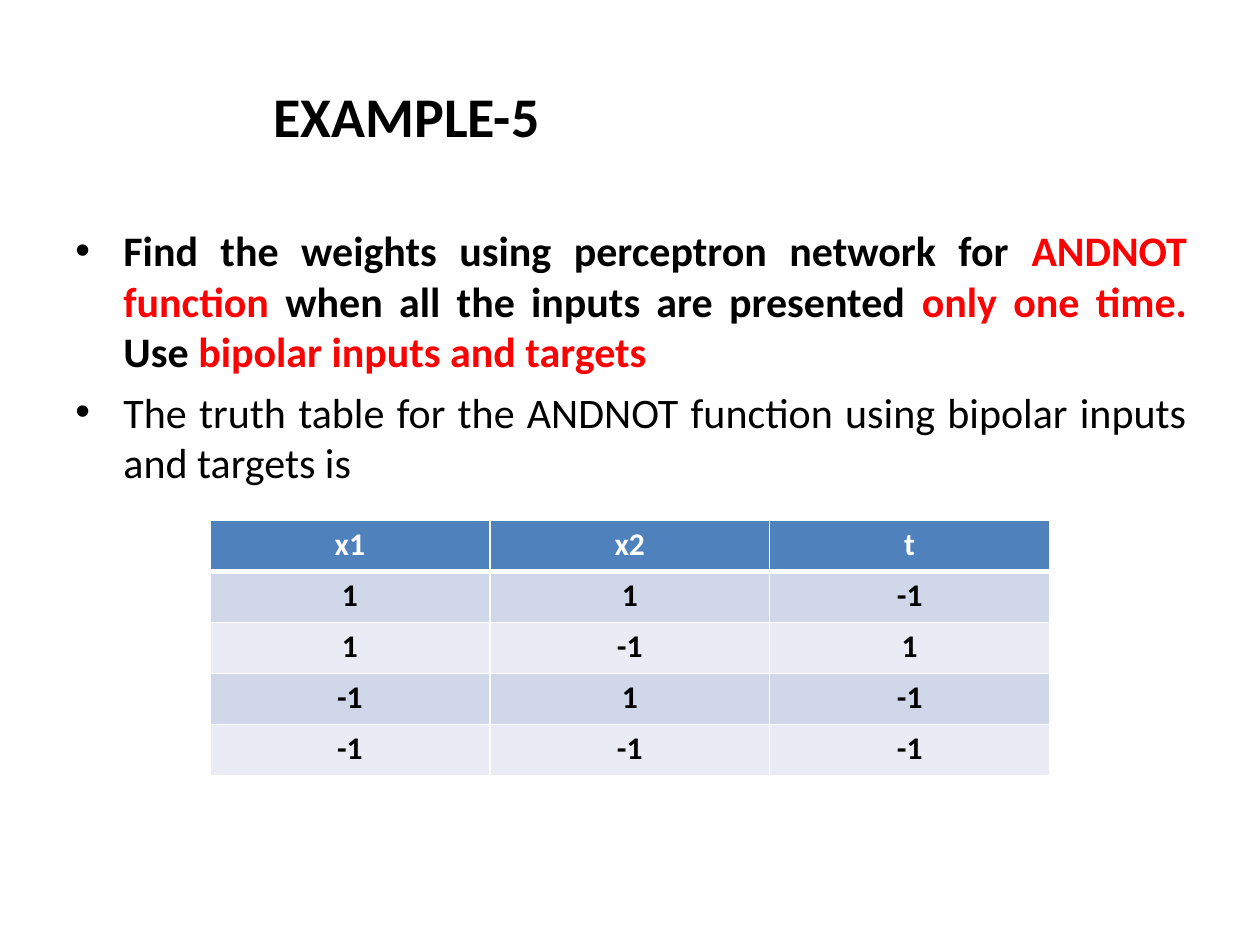
from dataclasses import dataclass

from pptx import Presentation
from pptx.dml.color import RGBColor
from pptx.enum import text
from pptx.oxml import parse_xml
from pptx.oxml.ns import nsdecls
from pptx.util import Cm, Pt

COLOURS = {
    "black": "000000", "red": "FF0000", "white": "FFFFFF",
    "header": "4F81BC", "odd": "D0D7E8", "even": "E9ECF4",
}


@dataclass
class Span:
    wording: str
    colour: str = "black"
    bold: bool = True


@dataclass
class Bullet:
    spans: list[Span]
    space_before: float = 0


BULLETS = [
    Bullet([
        Span("Find the weights using perceptron network for "),
        Span("ANDNOT function ", "red"),
        Span("when all the inputs are presented "),
        Span("only one time. ", "red"),
        Span("Use "),
        Span("bipolar inputs and targets", "red"),
    ]),
    Bullet([Span("The truth table for the ANDNOT function using bipolar inputs "
                 "and targets is", bold=False)], space_before=5.8),
]
TRUTH_TABLE = [
    ("x1", "x2", "t"),
    ("1", "1", "-1"),
    ("1", "-1", "1"),
    ("-1", "1", "-1"),
    ("-1", "-1", "-1"),
]


def rgb(name: str) -> RGBColor:
    return RGBColor.from_string(COLOURS[name])


def set_all(target, **values) -> None:
    for name, value in values.items():
        setattr(target, name, value)


def add_span(para, span: Span, size: float) -> None:
    run = para.add_run()
    run.text = span.wording
    set_all(run.font, name="Calibri", size=Pt(size), bold=span.bold)
    run.font.color.rgb = rgb(span.colour)


def format_frame(frame, margin_top: float) -> None:
    set_all(frame, margin_left=0, margin_top=Cm(margin_top), margin_right=0,
            margin_bottom=0, word_wrap=True, auto_size=text.MSO_AUTO_SIZE.NONE,
            vertical_anchor=text.MSO_ANCHOR.TOP)


def add_bullet(para, bullet: Bullet) -> None:
    properties = para._p.get_or_add_pPr()
    properties.set("marL", str(Cm(0.99)))
    properties.set("indent", str(Cm(-0.97)))
    for tag in ('buFont {} typeface="Arial"', 'buChar {} char="•"'):
        properties.append(parse_xml(f"<a:{tag.format(nsdecls('a'))}/>"))
    set_all(para, alignment=text.PP_ALIGN.JUSTIFY,
            space_before=Pt(bullet.space_before))
    for span in bullet.spans:
        add_span(para, span, 24)


def add_borders(cell, widths: dict[str, float]) -> None:
    properties = cell._tc.get_or_add_tcPr()
    for position, (side, width) in enumerate(widths.items()):
        properties.insert(position, parse_xml(
            f'<a:{side} {nsdecls("a")} w="{Pt(width)}"><a:solidFill>'
            f'<a:srgbClr val="{COLOURS["white"]}"/></a:solidFill></a:{side}>'))


def fill_cell(cell, wording: str, row: int) -> None:
    fill = "header" if row == 0 else ("odd" if row % 2 else "even")
    cell.fill.solid()
    cell.fill.fore_color.rgb = rgb(fill)
    set_all(cell, margin_left=0, margin_top=Cm(0.1), margin_right=0,
            margin_bottom=0, vertical_anchor=text.MSO_ANCHOR.TOP)
    para = cell.text_frame.paragraphs[0]
    para.alignment = text.PP_ALIGN.CENTER
    add_span(para, Span(wording, "black" if row else "white"), 18)
    add_borders(cell, {"lnL": 1, "lnR": 1, "lnT": 3 if row == 1 else 1,
                       "lnB": 1 if row else 3})


def main() -> None:
    deck = Presentation()
    set_all(deck, slide_width=Cm(25.4), slide_height=Cm(19.05))
    page = deck.slides.add_slide(deck.slide_layouts[5])

    # Title
    title = page.shapes.title
    set_all(title, left=Cm(5.51), top=Cm(1.57), width=Cm(9.93), height=Cm(1.42))
    format_frame(title.text_frame, 0.07)
    heading = title.text_frame.paragraphs[0]
    heading.alignment = text.PP_ALIGN.LEFT
    add_span(heading, Span("EXAMPLE-5"), 32)

    # Task
    body = page.shapes.add_textbox(Cm(1.5), Cm(4.47), Cm(22.43), Cm(5.36))
    format_frame(body.text_frame, 0.06)
    for index, bullet in enumerate(BULLETS):
        frame = body.text_frame
        add_bullet(frame.add_paragraph() if index else frame.paragraphs[0], bullet)

    # Truth table
    table = page.shapes.add_table(
        len(TRUTH_TABLE), len(TRUTH_TABLE[0]),
        Cm(4.23), Cm(10.49), Cm(16.93), Cm(5.15)).table
    for row, values in enumerate(TRUTH_TABLE):
        for column, wording in enumerate(values):
            fill_cell(table.cell(row, column), wording, row)

    deck.save("out.pptx")


if __name__ == "__main__":
    main()
